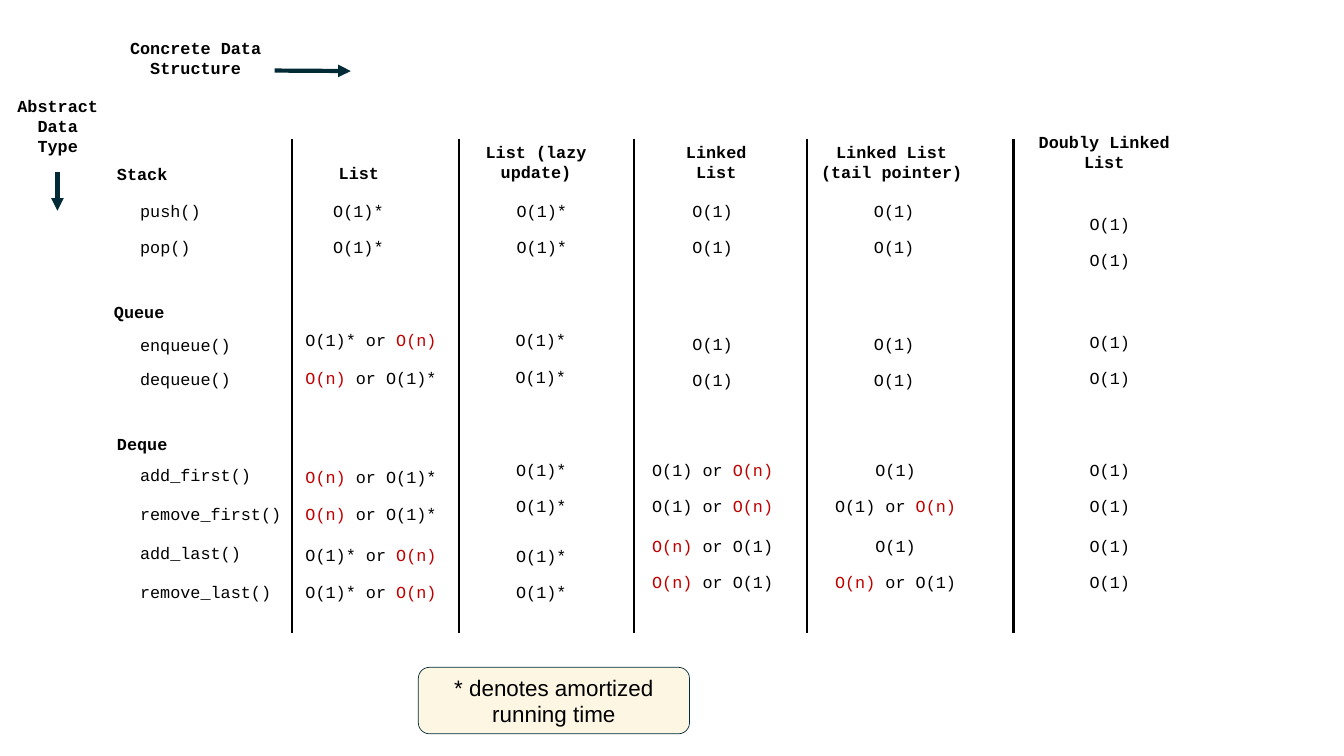
from lxml import etree
from pptx import Presentation
from pptx.dml.color import RGBColor
from pptx.enum.shapes import MSO_CONNECTOR, MSO_SHAPE
from pptx.enum.text import MSO_ANCHOR, MSO_AUTO_SIZE, PP_ALIGN
from pptx.oxml.ns import qn
from pptx.util import Pt

COLORS = {"text": "000000", "slow": "C00000", "ink": "002B36", "note": "FDF6E3"}
SLOW = "O(n)"
CODE_SIZE, CHAR_WIDTH, ROW_HEIGHT, INSET = 24, 14.4, 37.5, 4.32

# Each type: name, its left and top, then (method, top) pairs
TYPES = [
    ("Stack", 162.7, 229, [("push()", 282.2), ("pop()", 334.1)]),
    ("Queue", 158.4, 427, [("enqueue()", 473.2), ("dequeue()", 522.7)]),
    ("Deque", 162.7, 615.6, [("add_first()", 660.2), ("remove_first()", 715.7),
                             ("add_last()", 771.1), ("remove_last()", 827.3)]),
]
METHOD_LEFT = 195.8

# Each structure: header, header box, and per type the centre and (cost, top) pairs
STRUCTURES = [
    ("List", (477.6, 227.5, 70, 37.5), [
        (512, [("O(1)*", 282.2), ("O(1)*", 334.1)]),
        (530, [("O(1)* or O(n)", 467.3), ("O(n) or O(1)*", 521.3)]),
        (530, [("O(n) or O(1)*", 661.7), ("O(n) or O(1)*", 715.7),
               ("O(1)* or O(n)", 773.3), ("O(1)* or O(n)", 827.3)])]),
    ("List (lazy update)", (670.3, 198, 190.8, 66.2), [
        (774, [("O(1)*", 282.2), ("O(1)*", 334.1)]),
        (772.6, [("O(1)*", 467.3), ("O(1)*", 519.1)]),
        (773.3, [("O(1)*", 652.3), ("O(1)*", 703.6),
                 ("O(1)*", 774.7), ("O(1)*", 826.6)])]),
    ("Linked List", (948.2, 198, 149.8, 66.2), [
        (1018, [("O(1)", 282.2), ("O(1)", 334.1)]),
        (1018, [("O(1)", 473), ("O(1)", 524.2)]),
        (1018, [("O(1) or O(n)", 652.3), ("O(1) or O(n)", 703.6),
                ("O(n) or O(1)", 760.3), ("O(n) or O(1)", 812.2)])]),
    ("Linked List (tail pointer)", (1154.9, 198, 237.6, 66.2), [
        (1277.3, [("O(1)", 282.2), ("O(1)", 334.1)]),
        (1277.3, [("O(1)", 473), ("O(1)", 524.2)]),
        (1279.3, [("O(1)", 652.3), ("O(1) or O(n)", 703.6),
                  ("O(1)", 760.3), ("O(n) or O(1)", 812.2)])]),
    ("Doubly Linked List", (1458.7, 183.6, 237.6, 66.2), [
        (1585.4, [("O(1)", 301), ("O(1)", 352.8)]),
        (1585.4, [("O(1)", 469.4), ("O(1)", 521.3)]),
        (1585.4, [("O(1)", 652.3), ("O(1)", 703.6),
                  ("O(1)", 760.3), ("O(1)", 812.2)])]),
]
AXES = [
    ("Abstract Data Type", (15.1, 131.8, 134.6, 95), (82.1, 245.5, 82.1, 301)),
    ("Concrete Data Structure", (165.6, 49.7, 227.5, 66.2), (392.4, 100.8, 501.1, 101.5)),
]
DIVIDERS = [416.9, 655.2, 905.8, 1152.7, 1447.9]
DIVIDER_TOP, DIVIDER_BOTTOM = 198, 904.3
NOTE = "* denotes amortized running time"
NOTE_BOX = (597.6, 953.3, 387.4, 95)


def color(name):
    return RGBColor.from_string(COLORS[name])


def write(shape, text, size=CODE_SIZE, font="Courier New", bold=None, wrap=True):
    """Fill a shape with centred text, with every linear cost in the slow colour."""
    frame = shape.text_frame
    frame.word_wrap = wrap
    frame.auto_size = MSO_AUTO_SIZE.SHAPE_TO_FIT_TEXT
    frame.vertical_anchor = MSO_ANCHOR.MIDDLE
    frame.margin_left = frame.margin_right = Pt(INSET)
    frame.margin_top = frame.margin_bottom = Pt(INSET)
    paragraph = frame.paragraphs[0]
    paragraph.alignment = PP_ALIGN.CENTER
    before, slow, after = text.partition(SLOW)
    for part, tint in ((before, "text"), (slow, "slow"), (after, "text")):
        if part:
            run = paragraph.add_run()
            run.text = part
            run.font.size, run.font.name, run.font.bold = Pt(size), font, bold
            run.font.color.rgb = color(tint)


def add_label(shapes, box, text, **text_format):
    write(shapes.add_textbox(*map(Pt, box)), text, **text_format)


def code_width(text):
    return len(text) * CHAR_WIDTH + 2 * INSET


def add_code(shapes, left, top, text, **text_format):
    """Add one unwrapped line of code, as wide as its text."""
    box = (left, top, code_width(text), ROW_HEIGHT)
    add_label(shapes, box, text, wrap=False, **text_format)


def add_line(shapes, ends, tint, width, arrow=False):
    line = shapes.add_connector(MSO_CONNECTOR.STRAIGHT, *map(Pt, ends))
    line.line.color.rgb = color(tint)
    line.line.width = Pt(width)
    properties = line._element.spPr
    if arrow:
        etree.SubElement(properties.find(qn("a:ln")), qn("a:tailEnd"), type="triangle")
    etree.SubElement(properties, qn("a:effectLst"))


def main():
    deck = Presentation()
    deck.slide_width, deck.slide_height = Pt(1920), Pt(1080)
    shapes = deck.slides.add_slide(deck.slide_layouts[6]).shapes

    for name, left, top, methods in TYPES:
        add_code(shapes, left, top, name, bold=True)
        for method, method_top in methods:
            add_code(shapes, METHOD_LEFT, method_top, method)

    for header, header_box, cost_groups in STRUCTURES:
        add_label(shapes, header_box, header, bold=True, wrap=" " in header)
        for center, costs in cost_groups:
            for cost, top in costs:
                add_code(shapes, center - code_width(cost) / 2, top, cost)

    note = shapes.add_shape(MSO_SHAPE.ROUNDED_RECTANGLE, *map(Pt, NOTE_BOX))
    note.shadow.inherit = False
    note.fill.solid()
    note.fill.fore_color.rgb = color("note")
    note.line.color.rgb = color("ink")
    note.line.width = Pt(1)
    write(note, NOTE, size=32, font="Arial")

    for x in DIVIDERS:
        add_line(shapes, (x, DIVIDER_TOP, x, DIVIDER_BOTTOM), "text", 3)
    for name, box, arrow_ends in AXES:
        add_label(shapes, box, name, bold=True)
        add_line(shapes, arrow_ends, "ink", 6, arrow=True)

    deck.save("out.pptx")


if __name__ == "__main__":
    main()
